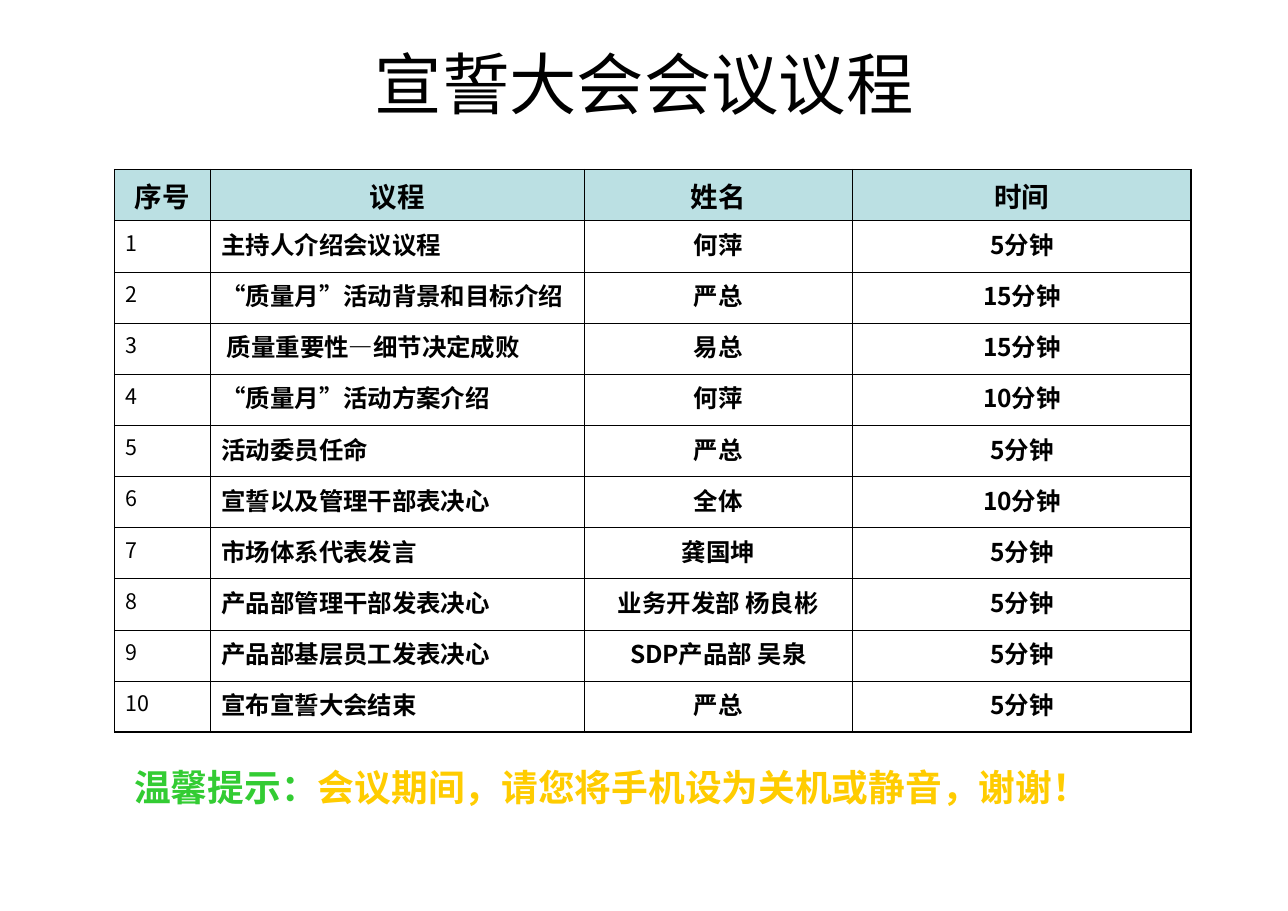
from dataclasses import dataclass
from typing import NamedTuple

from lxml.etree import SubElement
from pptx import Presentation
from pptx.dml.color import RGBColor as Rgb
from pptx.enum.text import MSO_ANCHOR as Anchor, PP_ALIGN as Align
from pptx.oxml.ns import qn
from pptx.util import Emu, Pt

SCALE = 9144  # EMU per px, 100 px to the inch


@dataclass(frozen=True)
class Theme:
    ink: str = "000000"
    head: str = "BBE0E3"
    green: str = "33CC33"
    gold: str = "FFCC00"
    latin: str = "Arial"
    hanzi: str = "Noto Sans CJK SC"
    title: int = 44
    tip: int = 24
    label: int = 18
    body: int = 16
    index: int = 14
    thick: float = 1.08
    thin: float = 0.45


class Box(NamedTuple):
    left: int
    top: int
    width: int
    height: int


class Style(NamedTuple):
    size: int
    color: str
    bold: bool
    font: str


class Item(NamedTuple):
    topic: str
    name: str
    mins: int
    indent: int = 0


THEME = Theme()
PAGE = (1169, 827)
TITLE = Box(59, 33, 1052, 138)
GRID = Box(104, 154, 977, 511)
TIP = Box(112, 689, 886, 50)
COLS = (87, 339, 244, 307)
HEADS = ("序号", "议程", "姓名", "时间")
ITEMS = (
    Item("主持人介绍会议议程", "何萍", 5),
    Item("“质量月”活动背景和目标介绍", "严总", 15),
    Item("质量重要性—细节决定成败", "易总", 15, 5),
    Item("“质量月”活动方案介绍", "何萍", 10),
    Item("活动委员任命", "严总", 5),
    Item("宣誓以及管理干部表决心", "全体", 10),
    Item("市场体系代表发言", "龚国坤", 5),
    Item("产品部管理干部发表决心", "业务开发部 杨良彬", 5),
    Item("产品部基层员工发表决心", "SDP产品部 吴泉", 5),
    Item("宣布宣誓大会结束", "严总", 5),
)


def px(n: int) -> Emu:
    return Emu(n * SCALE)


def add_run(para, text: str, style: Style) -> None:
    run = para.add_run()
    run.text = text
    font = run.font
    font.size, font.bold, font.name = Pt(style.size), style.bold, style.font
    font.color.rgb = Rgb.from_string(style.color)
    props = run._r.get_or_add_rPr()
    props.set("lang", "zh-CN")
    SubElement(props, qn("a:ea"), typeface=THEME.hanzi)


def add_text(slide, box: Box, align: Align, runs: list[tuple[str, Style]]) -> None:
    frame = slide.shapes.add_textbox(*map(px, box)).text_frame
    frame.word_wrap = True
    frame.vertical_anchor = Anchor.TOP
    para = frame.paragraphs[0]
    para.alignment = align
    for text, style in runs:
        add_run(para, text, style)


def add_edges(cell, thick: dict[str, bool]) -> None:
    props = cell._tc.get_or_add_tcPr()
    for side, heavy in thick.items():
        width = Pt(THEME.thick if heavy else THEME.thin)
        line = SubElement(props, qn(f"a:ln{side}"), w=str(int(width)))
        fill = SubElement(line, qn("a:solidFill"))
        SubElement(fill, qn("a:srgbClr"), val=THEME.ink)


def fill_cell(cell, text: str, style: Style, align: Align, indent: int = 0) -> None:
    para = cell.text_frame.paragraphs[0]
    para.alignment = align
    if indent:
        para._p.get_or_add_pPr().set("marL", str(px(indent)))
    add_run(para, text, style)


def add_agenda(slide) -> None:
    count = len(ITEMS) + 1
    table = slide.shapes.add_table(count, len(COLS), *map(px, GRID)).table
    table.first_row = table.horz_banding = False
    for col, width in zip(table.columns, COLS):
        col.width = px(width)
    for row in table.rows:
        row.height = px(GRID.height) // count

    # Borders and fills
    for r in range(count):
        for c in range(len(COLS)):
            cell = table.cell(r, c)
            add_edges(cell, {"L": c == 0, "R": c == len(COLS) - 1,
                             "T": r == 0, "B": r == count - 1})
            if r == 0:
                cell.fill.solid()
                cell.fill.fore_color.rgb = Rgb.from_string(THEME.head)
            else:
                cell.fill.background()

    # Header row
    label = Style(THEME.label, THEME.ink, True, THEME.hanzi)
    for c, text in enumerate(HEADS):
        fill_cell(table.cell(0, c), text, label, Align.CENTER)

    # Agenda rows
    index = Style(THEME.index, THEME.ink, False, THEME.hanzi)
    body = Style(THEME.body, THEME.ink, True, THEME.hanzi)
    for r, item in enumerate(ITEMS, 1):
        fill_cell(table.cell(r, 0), str(r), index, Align.LEFT)
        fill_cell(table.cell(r, 1), item.topic, body, Align.LEFT, item.indent)
        fill_cell(table.cell(r, 2), item.name, body, Align.CENTER)
        fill_cell(table.cell(r, 3), f"{item.mins}分钟", body, Align.CENTER)


def main() -> None:
    deck = Presentation()
    deck.slide_width, deck.slide_height = map(px, PAGE)
    slide = deck.slides.add_slide(deck.slide_layouts[6])

    # Title
    title = Style(THEME.title, THEME.ink, False, THEME.latin)
    add_text(slide, TITLE, Align.CENTER, [("宣誓大会会议议程", title)])

    # Agenda table
    add_agenda(slide)

    # Closing tip
    lead = Style(THEME.tip, THEME.green, True, THEME.latin)
    note = lead._replace(color=THEME.gold)
    add_text(slide, TIP, Align.LEFT, [
        ("温馨提示：", lead),
        ("会议期间，请您将手机设为关机或静音，谢谢！", note),
    ])
    deck.save("out.pptx")


if __name__ == "__main__":
    main()
